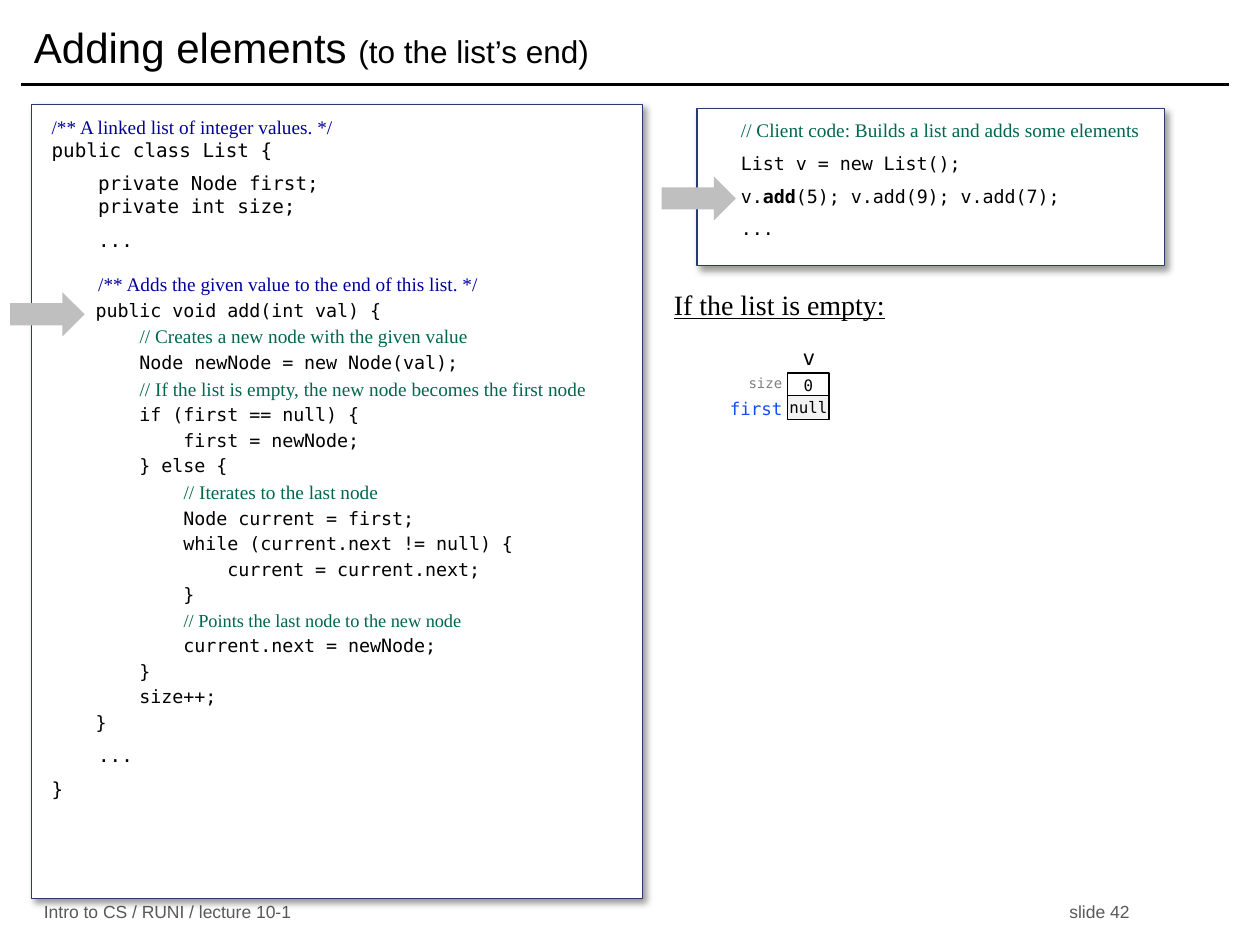
from lxml import etree
from pptx import Presentation
from pptx.dml.color import RGBColor
from pptx.enum.shapes import MSO_CONNECTOR, MSO_SHAPE
from pptx.enum.text import MSO_ANCHOR, MSO_AUTO_SIZE, PP_ALIGN
from pptx.oxml import parse_xml
from pptx.oxml.ns import nsdecls, qn
from pptx.util import Pt

RECTANGLE, RIGHT_ARROW = MSO_SHAPE.RECTANGLE, MSO_SHAPE.RIGHT_ARROW
TOP, MIDDLE = MSO_ANCHOR.TOP, MSO_ANCHOR.MIDDLE
LEFT, CENTER, RIGHT = PP_ALIGN.LEFT, PP_ALIGN.CENTER, PP_ALIGN.RIGHT

BLACK = RGBColor(0x00, 0x00, 0x00)
WHITE = RGBColor(0xFF, 0xFF, 0xFF)
PALE = RGBColor(0xF2, 0xF2, 0xF2)
SILVER = RGBColor(0xBF, 0xBF, 0xBF)
GRAY = RGBColor(0x80, 0x80, 0x80)
DARK_GRAY = RGBColor(0x59, 0x59, 0x59)
NAVY = RGBColor(0x29, 0x39, 0x73)
DOC_BLUE = RGBColor(0x00, 0x00, 0x99)
GREEN = RGBColor(0x00, 0x66, 0x4D)
FIELD_BLUE = RGBColor(0x11, 0x4F, 0xFB)

SANS, SERIF, MONO = "Arial", "Times New Roman", "DejaVu Sans Mono"

# Run styles: font, size, colour, bold, underline
CODE = (MONO, 10.5, BLACK, False, False)
CODE_BOLD = (MONO, 10.5, BLACK, True, False)
CODE_LARGE = (MONO, 11, BLACK, False, False)
DOC = (SERIF, 11, DOC_BLUE, False, False)
NOTE = (SERIF, 11, GREEN, False, False)
NOTE_SMALL = (SERIF, 10.5, GREEN, False, False)
HEADING = (SERIF, 16, BLACK, False, True)
TITLE = (SANS, 24, BLACK, False, False)
SUBTITLE = (SANS, 18, BLACK, False, False)
FOOTER = (SANS, 10, DARK_GRAY, False, False)

# Content: each line is (space before, (text, style), ...)
TITLE_LINES = [(0, ("Adding elements ", TITLE), ("(to the list’s end)", SUBTITLE))]
FOOTER_LINES = [(0, ("Intro to CS / RUNI / lecture 10-1\tslide 42", FOOTER))]
HEADING_LINES = [(0, ("If the list is empty:", HEADING))]
CLASS_LINES = [
    (0, ("/** A linked list of integer values. */", DOC)),
    (0, ("public class List {", CODE_LARGE)),
    (6, ("    private Node first;", CODE_LARGE)),
    (0, ("    private int size;", CODE_LARGE)),
    (6, ("    ...", CODE_LARGE)),
    (12, ("    ", CODE_LARGE),
     ("/** Adds the given value to the end of this list. */", DOC)),
    (2, ("    public void add(int val) {", CODE)),
    (2, ("        ", CODE), ("// Creates a new node with the given value", NOTE)),
    (2, ("        Node newNode = new Node(val);", CODE)),
    (2, ("        ", CODE),
     ("// If the list is empty, the new node becomes the first node", NOTE)),
    (2, ("        if (first == null) {", CODE)),
    (2, ("            first = newNode;", CODE)),
    (2, ("        } else {", CODE)),
    (2, ("            ", CODE), ("// Iterates to the last node", NOTE)),
    (2, ("            Node current = first;", CODE)),
    (2, ("            while (current.next != null) {", CODE)),
    (2, ("                current = current.next;", CODE)),
    (2, ("            }", CODE)),
    (2, ("            ", CODE), ("// Points the last node to the new node", NOTE_SMALL)),
    (2, ("            current.next = newNode;", CODE)),
    (2, ("        }", CODE)),
    (2, ("        size++;", CODE)),
    (2, ("    }", CODE)),
    (6, ("    ...", CODE_LARGE)),
    (6, ("}", CODE_LARGE)),
]
CLIENT_LINES = [
    (0, ("// Client code: Builds a list and adds some elements", NOTE)),
    (6, ("List v = new List();", CODE)),
    (6, ("v.", CODE), ("add", CODE_BOLD), ("(5); v.add(9); v.add(7);", CODE)),
    (6, ("...", CODE)),
]

# Boxes: left, top, width, height
TITLE_BOX = (12.2, 5.8, 689.8, 41.8)
FOOTER_BOX = (18, 514.1, 678.2, 13.7)
CLASS_BOX = (18, 59.8, 349.2, 453.6)
CLIENT_BOX = (398.2, 61.9, 267.1, 90)
HEADING_BOX = (378, 160.6, 193.7, 26.6)
ARROW_CORNERS = [(5.8, 167), (378, 100.8)]
ARROW_SIZE = (42.5, 25.2)
RULE_Y, SLIDE_NUMBER_TAB = 48.2, 586

# List object: text, box, alignment, size, colour, fill, outline
LIST_OBJECT = [
    ("size", (414.7, 213.1, 32.4, 11.5), RIGHT, 8, GRAY, WHITE, None),
    ("first", (414.7, 225.4, 32.4, 16.6), RIGHT, 10, FIELD_BLUE, WHITE, None),
    ("0", (450, 213.1, 23.8, 13.7), CENTER, 9, BLACK, WHITE, BLACK),
    ("null", (450, 226.1, 23.8, 13.7), CENTER, 9, BLACK, PALE, BLACK),
    ("v", (424.1, 195.8, 41.8, 16.6), RIGHT, 12, BLACK, WHITE, None),
]


def write(shape, lines, insets=(7.2, 3.6, 7.2, 3.6), anchor=TOP, align=LEFT):
    frame = shape.text_frame
    frame.word_wrap = True
    frame.auto_size = MSO_AUTO_SIZE.NONE
    frame.vertical_anchor = anchor
    (frame.margin_left, frame.margin_top,
     frame.margin_right, frame.margin_bottom) = map(Pt, insets)
    for index, (space_before, *runs) in enumerate(lines):
        paragraph = frame.add_paragraph() if index else frame.paragraphs[0]
        paragraph.alignment = align
        if space_before:
            paragraph.space_before = Pt(space_before)
        for text, (name, size, color, bold, underline) in runs:
            run = paragraph.add_run()
            run.text = text
            font = run.font
            font.name, font.size = name, Pt(size)
            font.bold, font.underline = bold, underline
            font.color.rgb = color


def add_box(shapes, kind, box, fill, outline=None):
    shape = shapes.add_shape(kind, *map(Pt, box))
    shape.shadow.inherit = False
    shape.fill.solid()
    shape.fill.fore_color.rgb = fill
    if outline is None:
        shape.line.fill.background()
    else:
        shape.line.color.rgb = outline
        shape.line.width = Pt(0.75)
    return shape


def add_code_panel(shapes, box, lines, left_inset):
    panel = add_box(shapes, RECTANGLE, box, WHITE, NAVY)
    panel._element.spPr.find(qn("a:effectLst")).append(parse_xml(
        f'<a:outerShdw {nsdecls("a")} blurRad="{Pt(4)}" dist="{Pt(3)}" dir="2700000" '
        'algn="tl" rotWithShape="0"><a:srgbClr val="000000">'
        '<a:alpha val="40000"/></a:srgbClr></a:outerShdw>'))
    write(panel, lines, insets=(left_inset, 5.8, 0, 0))


presentation = Presentation()
presentation.slide_width, presentation.slide_height = Pt(720), Pt(540)
slide = presentation.slides.add_slide(presentation.slide_layouts[5])
shapes = slide.shapes

# Title and rule
title = shapes.title
title.left, title.top, title.width, title.height = map(Pt, TITLE_BOX)
write(title, TITLE_LINES, anchor=MIDDLE)
rule = shapes.add_connector(MSO_CONNECTOR.STRAIGHT, Pt(12.2), Pt(RULE_Y), Pt(702), Pt(RULE_Y))
rule.line.color.rgb = BLACK
rule.line.width = Pt(2)
etree.SubElement(rule._element.spPr, qn("a:effectLst"))

# Footer, with the slide number at a tab stop
footer = shapes.add_textbox(*map(Pt, FOOTER_BOX))
write(footer, FOOTER_LINES, anchor=MIDDLE)
properties = footer.text_frame.paragraphs[0]._p.get_or_add_pPr()
tabs = etree.SubElement(properties, qn("a:tabLst"))
etree.SubElement(tabs, qn("a:tab"), pos=str(Pt(SLIDE_NUMBER_TAB)), algn="l")

# Code panels and the arrows to their current lines
add_code_panel(shapes, CLASS_BOX, CLASS_LINES, left_inset=11.5)
add_code_panel(shapes, CLIENT_BOX, CLIENT_LINES, left_inset=25.2)
for corner in ARROW_CORNERS:
    add_box(shapes, RIGHT_ARROW, corner + ARROW_SIZE, SILVER)

# Empty list diagram
write(shapes.add_textbox(*map(Pt, HEADING_BOX)), HEADING_LINES)
diagram = shapes.add_group_shape()
for text, box, align, size, color, fill, outline in LIST_OBJECT:
    cell = add_box(diagram.shapes, RECTANGLE, box, fill, outline)
    write(cell, [(0, (text, (MONO, size, color, False, False)))],
          insets=(0, 3.6, 0, 3.6), anchor=MIDDLE, align=align)

presentation.save("out.pptx")
